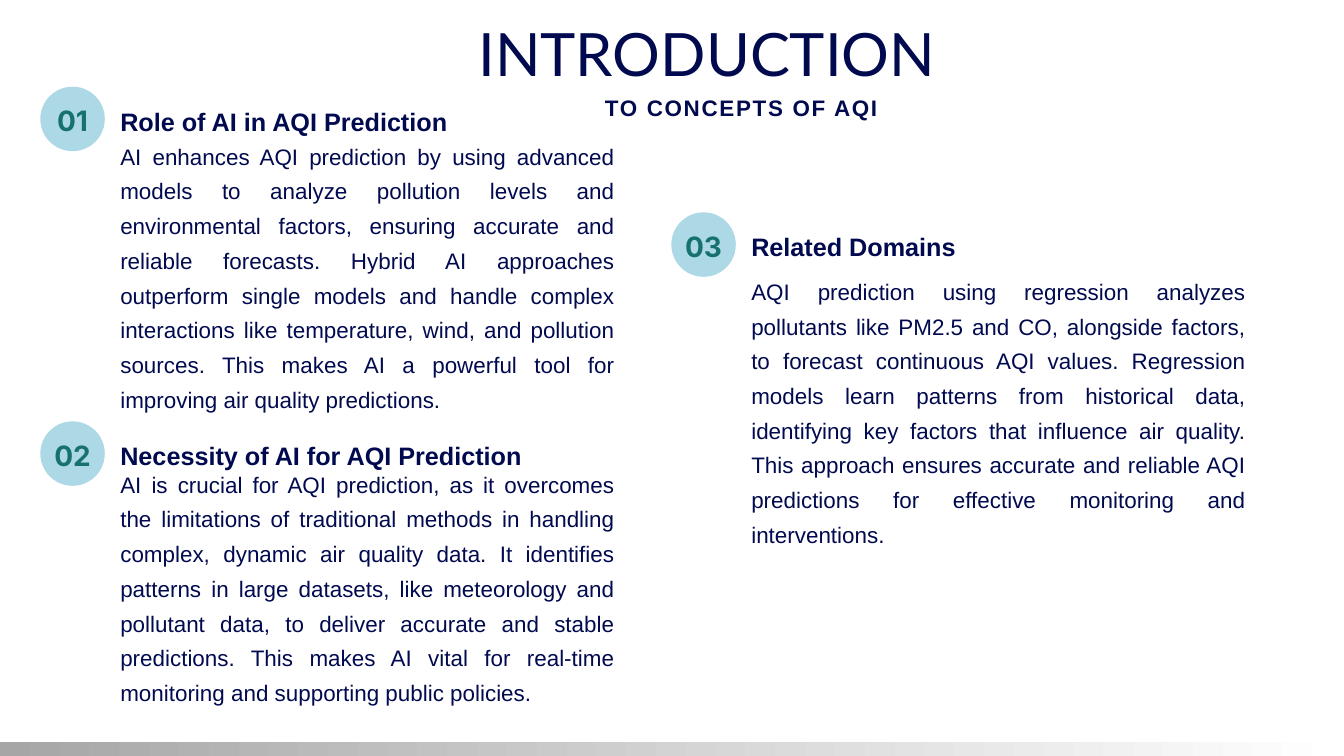
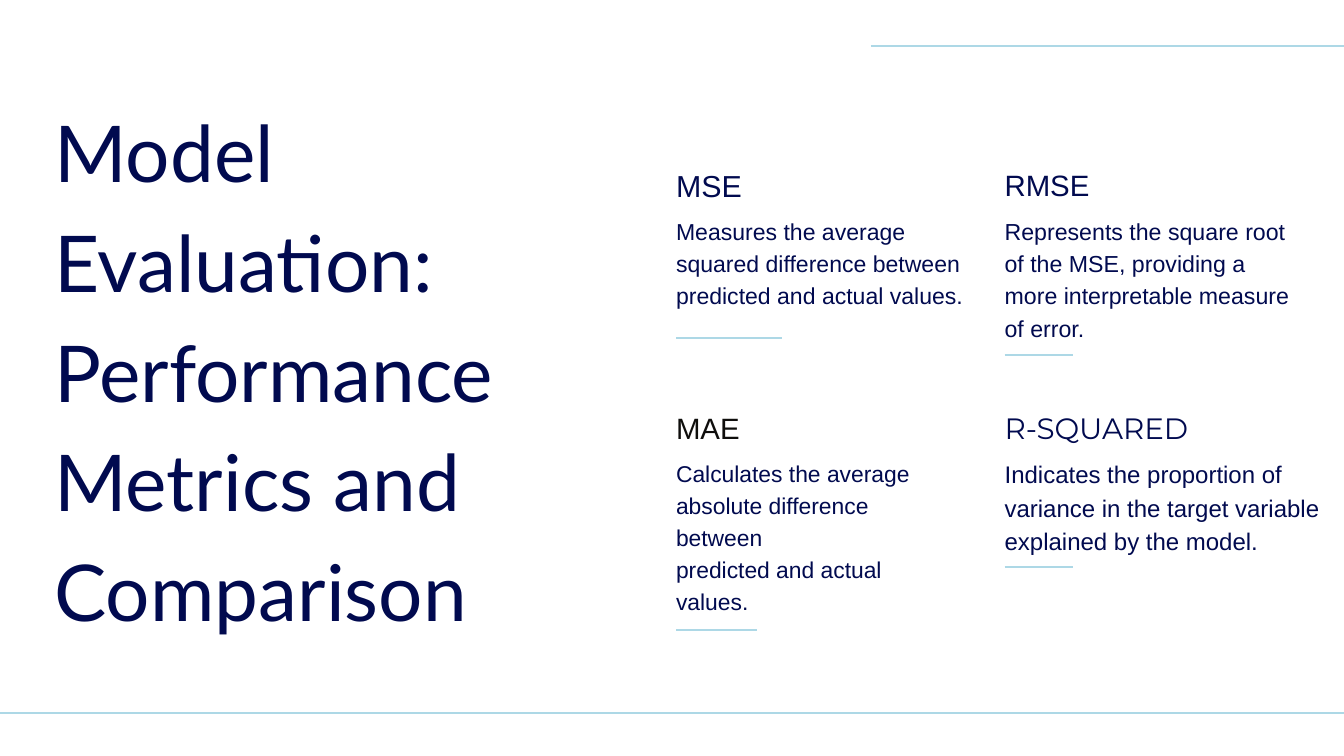
from dataclasses import dataclass, replace

from lxml import etree
from pptx import Presentation
from pptx.dml.color import RGBColor
from pptx.enum.shapes import MSO_CONNECTOR, MSO_SHAPE
from pptx.enum.text import MSO_ANCHOR, MSO_AUTO_SIZE, PP_ALIGN
from pptx.oxml.ns import qn
from pptx.util import Inches, Pt

LEFT, CENTER, JUSTIFY = PP_ALIGN.LEFT, PP_ALIGN.CENTER, PP_ALIGN.JUSTIFY
TOP, MIDDLE = MSO_ANCHOR.TOP, MSO_ANCHOR.MIDDLE
NO_FIT = MSO_AUTO_SIZE.NONE
OVAL, RECT = MSO_SHAPE.OVAL, MSO_SHAPE.RECTANGLE
STRAIGHT = MSO_CONNECTOR.STRAIGHT

WIDE, HIGH = 20, 11.25
NAVY, SKY, TEAL, INK = "010A4F", "ADD8E6", "17726D", "0F0E0C"
GRAY, WHITE = "A6A6A6", "FFFFFF"


@dataclass(frozen=True)
class Style:
    size: float
    font: str = "Arial"
    color: str = NAVY
    bold: bool = False
    align: PP_ALIGN = LEFT
    lead: float = 1.4  # line pitch as a multiple of the size
    track: float = 0


@dataclass(frozen=True)
class Box:
    left: float
    top: float
    width: float
    height: float

    def lengths(self) -> list:
        return [Inches(n) for n in (self.left, self.top, self.width, self.height)]


@dataclass(frozen=True)
class Topic:
    number: str
    left: float
    top: float
    body_top: float
    height: float
    head: str
    body: str


@dataclass(frozen=True)
class Metric:
    col: int
    row: int
    name: str
    name_style: Style
    text: str
    size: float
    width: float
    height: float
    rule_top: float
    rule_width: float


TITLE = Style(64, "Lato", lead=1.05)
BIG_TITLE = Style(83.9, "Lato")
SUBTITLE = Style(24, bold=True, align=CENTER, track=1.8)
BADGE = Style(30, "Inter", TEAL, True, CENTER)
HEAD = Style(27, bold=True)
BODY = Style(24, align=JUSTIFY, lead=1.55)
NAME = Style(31.5)

TOPICS = [
    Topic("01", 0.6, 1.29, 2.01, 4.07, "Role of AI in AQI Prediction",
          "AI enhances AQI prediction by using advanced models to analyze pollution "
          "levels and environmental factors, ensuring accurate and reliable forecasts. "
          "Hybrid AI approaches outperform single models and handle complex "
          "interactions like temperature, wind, and pollution sources. This makes AI "
          "a powerful tool for improving air quality predictions."),
    Topic("02", 0.6, 6.27, 6.89, 3.56, "Necessity of AI for AQI Prediction",
          "AI is crucial for AQI prediction, as it overcomes the limitations of "
          "traditional methods in handling complex, dynamic air quality data. It "
          "identifies patterns in large datasets, like meteorology and pollutant data, "
          "to deliver accurate and stable predictions. This makes AI vital for "
          "real-time monitoring and supporting public policies."),
    Topic("03", 9.99, 3.16, 4.02, 3.56, "Related Domains",
          "AQI prediction using regression analyzes pollutants like PM2.5 and CO, "
          "alongside factors, to forecast continuous AQI values. Regression models "
          "learn patterns from historical data, identifying key factors that influence "
          "air quality. This approach ensures accurate and reliable AQI predictions "
          "for effective monitoring and interventions."),
]

COLS = (10.06, 14.95)
ROWS = (2.4, 6.01)
METRICS = [
    Metric(0, 0, "MSE", replace(NAME, size=32.5),
           "Measures the average squared difference between predicted and actual values.",
           24.7, 4.59, 2.38, 5.03, 1.58),
    Metric(1, 0, "RMSE", NAME,
           "Represents the square root of the MSE, providing a more interpretable "
           "measure of error.", 24.8, 4.33, 1.88, 5.28, 1.02),
    Metric(0, 1, "MAE", replace(NAME, color=INK),
           "Calculates the average absolute difference between\n"
           "predicted and actual values.", 24.5, 4.05, 2.8, 9.37, 1.2),
    Metric(1, 1, "R-SQUARED", replace(NAME, font="Montserrat"),
           "Indicates the proportion of variance in the target variable explained by "
           "the model.", 25.7, 4.73, 1.45, 8.44, 1.02),
]


def rgb(code: str) -> RGBColor:
    return RGBColor.from_string(code)


def write(shape, text: str, style: Style, anchor=TOP) -> None:
    frame = shape.text_frame
    frame.text = text
    frame.word_wrap = True
    frame.auto_size = NO_FIT
    frame.vertical_anchor = anchor
    frame.margin_left = frame.margin_right = 0
    frame.margin_top = frame.margin_bottom = 0
    for para in frame.paragraphs:
        para.alignment = style.align
        para.line_spacing = Pt(round(style.size * style.lead, 1))
        for run in para.runs:
            font = run.font
            font.name, font.size, font.bold = style.font, Pt(style.size), style.bold
            font.color.rgb = rgb(style.color)
            if style.track:
                font._element.set("spc", str(round(style.track * 100)))


def add_text(slide, box: Box, text: str, style: Style) -> None:
    write(slide.shapes.add_textbox(*box.lengths()), text, style)


def add_title(slide, box: Box, text: str, style: Style) -> None:
    title = slide.shapes.title
    title.left, title.top, title.width, title.height = box.lengths()
    write(title, text, style)


def add_plain(slide, kind, box: Box):
    shape = slide.shapes.add_shape(kind, *box.lengths())
    shape.shadow.inherit = False
    shape.line.fill.background()
    return shape


def add_rule(slide, left: float, top: float, width: float, weight: float = 2.25) -> None:
    rule = slide.shapes.add_connector(
        STRAIGHT, Inches(left), Inches(top), Inches(left + width), Inches(top))
    rule.line.color.rgb = rgb(SKY)
    rule.line.width = Pt(weight)
    etree.SubElement(rule._element.spPr, qn("a:effectLst"))


def add_band(slide) -> None:
    fill = add_plain(slide, RECT, Box(0, 11.04, 19.97, 0.21)).fill
    fill.gradient()
    fill.gradient_angle = 0
    for stop, place, code in zip(fill.gradient_stops, (0, 1), (GRAY, WHITE)):
        stop.position = place
        stop.color.rgb = rgb(code)


def add_topic(slide, topic: Topic) -> None:
    badge = add_plain(slide, OVAL, Box(topic.left, topic.top, 0.96, 0.96))
    badge.fill.solid()
    badge.fill.fore_color.rgb = rgb(SKY)
    write(badge, topic.number, BADGE, MIDDLE)
    badge.text_frame.margin_bottom = Inches(0.04)
    left = topic.left + 1.19
    add_text(slide, Box(left, topic.top + 0.21, 7.35, 0.51), topic.head, HEAD)
    add_text(slide, Box(left, topic.body_top, 7.35, topic.height), topic.body, BODY)


def add_metric(slide, item: Metric) -> None:
    left, top = COLS[item.col], ROWS[item.row]
    add_text(slide, Box(left, top, 3.45, 0.6), item.name, item.name_style)
    add_text(slide, Box(left, top + 0.76, item.width, item.height),
             item.text, Style(item.size))
    add_rule(slide, left, item.rule_top, item.rule_width)


def main() -> None:
    deck = Presentation()
    deck.slide_width, deck.slide_height = Inches(WIDE), Inches(HIGH)
    layout = deck.slide_layouts.get_by_name("Title Only")

    # Introduction: numbered topics
    intro = deck.slides.add_slide(layout)
    add_band(intro)
    add_title(intro, Box(7.12, 0.38, 7.82, 0.97), "INTRODUCTION", TITLE)
    add_text(intro, Box(7.3, 1.33, 7.46, 0.45), "TO CONCEPTS OF AQI", SUBTITLE)
    for topic in TOPICS:
        add_topic(intro, topic)

    # Model evaluation: grid of metrics
    model = deck.slides.add_slide(layout)
    add_rule(model, 0, 10.61, WIDE, 3)
    add_rule(model, 12.96, 0.69, WIDE - 12.96)
    add_title(model, Box(0.81, 1.32, 8.3, 8.07),
              "Model Evaluation: Performance Metrics and Comparison", BIG_TITLE)
    for item in METRICS:
        add_metric(model, item)

    deck.save("out.pptx")


if __name__ == "__main__":
    main()
